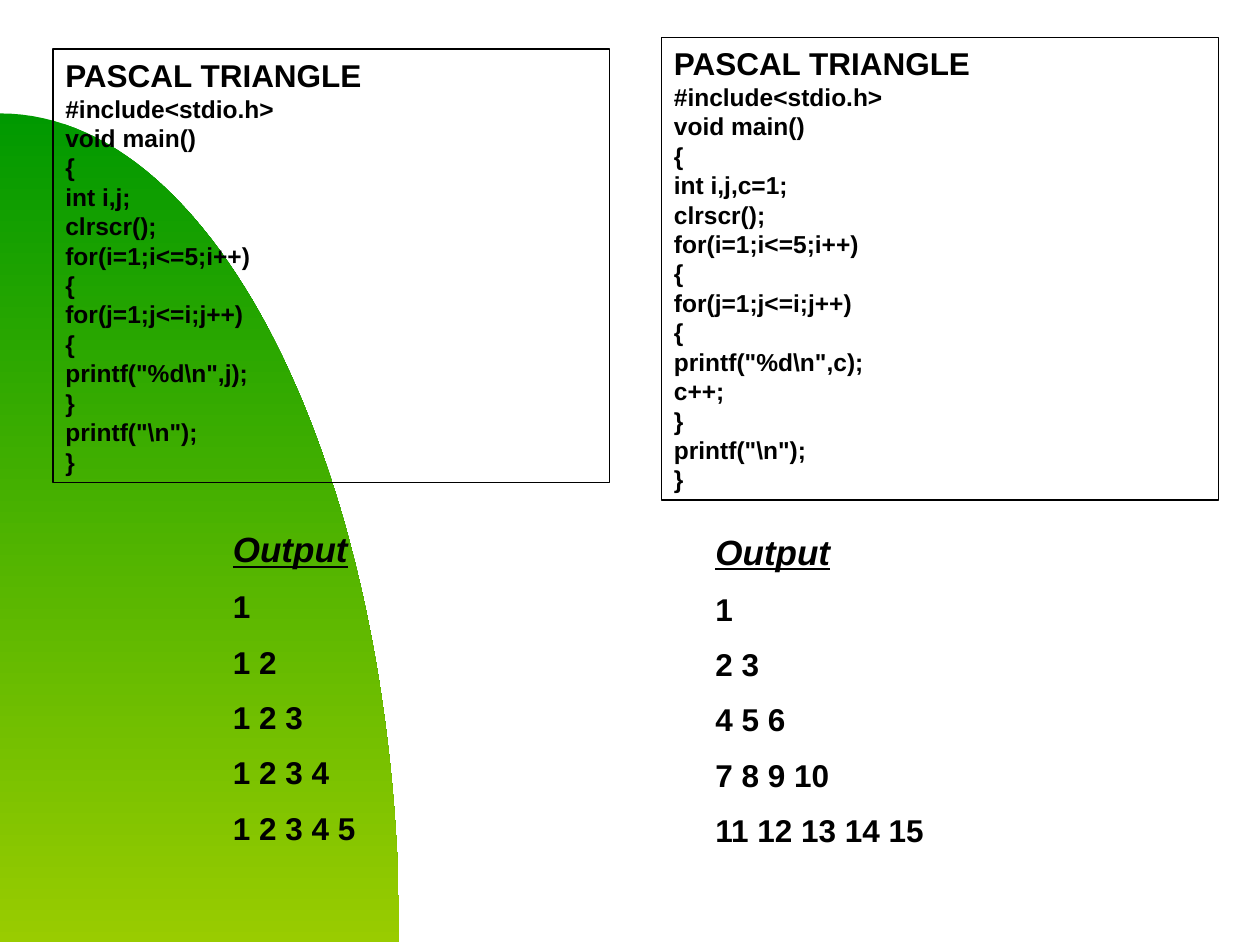
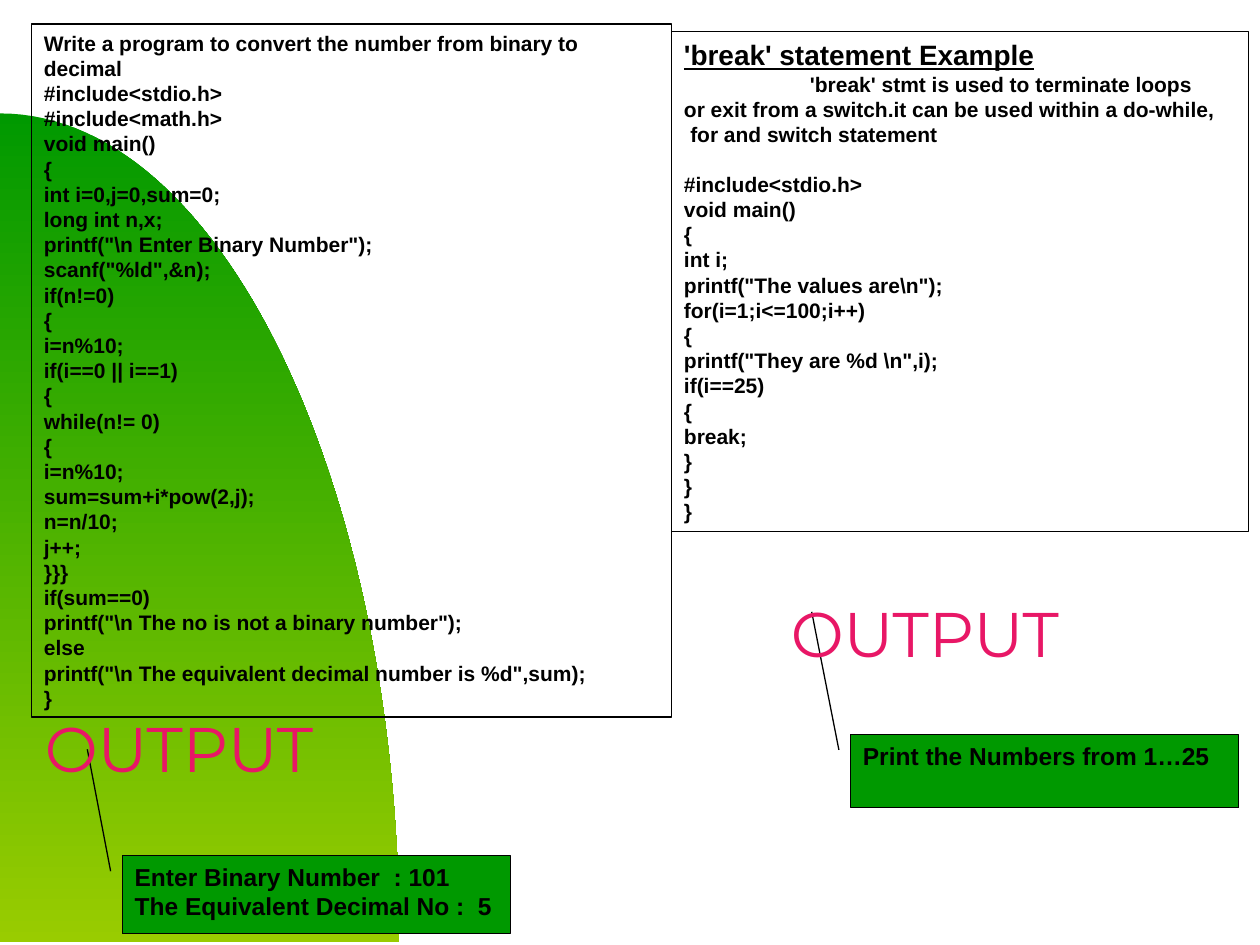
from pptx import Presentation
from pptx import util as u
from pptx.dml.color import RGBColor
from pptx.enum import shapes, text

BLACK = RGBColor(0x00, 0x00, 0x00)
GREEN = RGBColor(0x00, 0x99, 0x00)
LIME = RGBColor(0x99, 0xCC, 0x00)
PINK = RGBColor(0xE8, 0x17, 0x66)
BODY_FONT = "Arial"
DISPLAY_FONT = "Montserrat"

TRIANGLE_BY_ROW = r"""#include<stdio.h>
void main()
{
int i,j;
clrscr();
for(i=1;i<=5;i++)
{
for(j=1;j<=i;j++)
{
printf("%d\n",j);
}
printf("\n");
}"""

TRIANGLE_COUNTING = r"""#include<stdio.h>
void main()
{
int i,j,c=1;
clrscr();
for(i=1;i<=5;i++)
{
for(j=1;j<=i;j++)
{
printf("%d\n",c);
c++;
}
printf("\n");
}"""

BINARY_TO_DECIMAL = r"""#include<stdio.h>
#include<math.h>
void main()
{
int i=0,j=0,sum=0;
long int n,x;
printf("\n Enter Binary Number");
scanf("%ld",&n);
if(n!=0)
{
i=n%10;
if(i==0 || i==1)
{
while(n!= 0)
{
i=n%10;
sum=sum+i*pow(2,j);
n=n/10;
j++;
}}}
if(sum==0)
printf("\n The no is not a binary number");
else
printf("\n The equivalent decimal number is %d",sum);
}"""

BREAK_EXAMPLE = r"""#include<stdio.h>
void main()
{
int i;
printf("The values are\n");
for(i=1;i<=100;i++)
{
printf("They are %d \n",i);
if(i==25)
{
break;
}
}
}"""


def inches(*lengths):
    return [u.Inches(length) for length in lengths]


def add_backdrop(slide):
    """Draw the green quarter oval that rises from the lower left corner."""
    curve = [(0, 0.9), (1.75, 0.9), (3.17, 3.85), (3.17, 7.48)]
    steps = 60
    points = []
    for step in range(steps + 1):
        t = step / steps
        weights = ((1 - t) ** 3, 3 * t * (1 - t) ** 2, 3 * t ** 2 * (1 - t), t ** 3)
        points.append(inches(*(sum(w * point[axis] for w, point in zip(weights, curve))
                               for axis in (0, 1))))
    points.append(inches(0, 7.48))
    builder = slide.shapes.build_freeform(*points[0])
    builder.add_line_segments(points[1:], close=True)
    oval = builder.convert_to_shape()
    oval.shadow.inherit = False
    oval.line.fill.background()
    oval.fill.gradient()
    oval.fill.gradient_angle = 270
    for stop, colour in zip(oval.fill.gradient_stops, (GREEN, LIME)):
        stop.color.rgb = colour


def write(frame, lines, size, space_before=0):
    """Fill a frame with one left-aligned bold paragraph per line."""
    frame.word_wrap = True
    for number, line in enumerate(lines):
        para = frame.paragraphs[0] if number == 0 else frame.add_paragraph()
        para.text = line
        para.alignment = text.PP_ALIGN.LEFT
        if number and space_before:
            para.space_before = u.Pt(space_before)
        font = para.font
        font.name, font.size, font.bold = BODY_FONT, u.Pt(size), True
        font.color.rgb = BLACK
    return frame.paragraphs


def add_outlined(slide, kind, place, fill=None):
    box = slide.shapes.add_shape(kind, *inches(*place))
    box.shadow.inherit = False
    if fill is None:
        box.fill.background()
    else:
        box.fill.solid()
        box.fill.fore_color.rgb = fill
    box.line.color.rgb = BLACK
    box.line.width = u.Pt(0.75)
    box.text_frame.vertical_anchor = text.MSO_ANCHOR.TOP
    return box


def add_code_box(slide, place, lines, size, heading_size):
    box = add_outlined(slide, shapes.MSO_SHAPE.RECTANGLE, place)
    paras = write(box.text_frame, lines, size)
    paras[0].font.size = u.Pt(heading_size)
    return box, paras


def add_triangle(slide, place, code, output_place, rows):
    """Put a triangle program above the rows that it prints."""
    lines = ["PASCAL TRIANGLE", *code.splitlines()]
    box, _ = add_code_box(slide, place, lines, 14, 18)
    box.text_frame.vertical_anchor = text.MSO_ANCHOR.MIDDLE

    output = slide.shapes.add_textbox(*inches(*output_place))
    heading = write(output.text_frame, ["Output", *rows], 18, space_before=10)[0].font
    heading.size = u.Pt(20)
    heading.italic = heading.underline = True


def add_callout(slide, place, adjustments, lines):
    callout = add_outlined(slide, shapes.MSO_SHAPE.LINE_CALLOUT_1, place, GREEN)
    for index, value in enumerate(adjustments):
        callout.adjustments[index] = value
    write(callout.text_frame, lines, 14)


def add_output_banner(slide, left, top):
    banner = slide.shapes.add_textbox(*inches(left, top, 2.34, 0.42))
    banner.text_frame.word_wrap = False
    para = banner.text_frame.paragraphs[0]
    para.text = "OUTPUT"
    para.alignment = text.PP_ALIGN.CENTER
    para.font.name, para.font.size = DISPLAY_FONT, u.Pt(36)
    para.font.color.rgb = PINK


def indent_first_line(para, length):
    properties = para._p.get_or_add_pPr()
    properties.set("marL", "0")
    properties.set("indent", str(u.Inches(length)))


def add_triangle_slide(deck):
    slide = deck.slides.add_slide(deck.slide_layouts[6])
    add_backdrop(slide)
    add_triangle(slide, (0.42, 0.39, 4.42, 3.44), TRIANGLE_BY_ROW,
                 (1.75, 4.14, 2.33, 2.69),
                 ["1", "1 2", "1 2 3", "1 2 3 4", "1 2 3 4 5"])
    add_triangle(slide, (5.25, 0.3, 4.42, 3.67), TRIANGLE_COUNTING,
                 (5.58, 4.16, 3.67, 2.69),
                 ["1", "2 3", "4 5 6", "7 8 9 10", "11 12 13 14 15"])


def add_binary_and_break_slide(deck):
    slide = deck.slides.add_slide(deck.slide_layouts[6])
    add_backdrop(slide)

    task = "Write a program to convert the number from binary to decimal"
    add_code_box(slide, (0.25, 0.19, 5.08, 5.5),
                 [task, *BINARY_TO_DECIMAL.splitlines()], 12, 12)
    add_callout(slide, (0.97, 6.79, 3.08, 0.62), (0.2, -0.03, -1.36, -0.09),
                ["Enter Binary Number  : 101", "The Equivalent Decimal No :  5"])
    add_output_banner(slide, 0.25, 5.58)

    intro = ["'break' statement Example",
             "'break' stmt is used to terminate loops",
             "or exit from a switch.it can be used within a do-while,",
             "for and switch statement"]
    _, paras = add_code_box(slide, (5.33, 0.25, 4.58, 3.97),
                            [*intro, *BREAK_EXAMPLE.splitlines()], 12, 16)
    paras[0].font.underline = True
    indent_first_line(paras[1], 1)
    indent_first_line(paras[3], 0.05)
    paras[len(intro)].space_before = u.Pt(14)
    add_callout(slide, (6.75, 5.83, 3.08, 0.58), (0.21, -0.03, -1.68, -0.1),
                ["Print the Numbers from 1…25"])
    add_output_banner(slide, 6.17, 4.67)


def main():
    deck = Presentation()
    deck.slide_width, deck.slide_height = inches(10, 7.5)
    add_triangle_slide(deck)
    add_binary_and_break_slide(deck)
    deck.save("out.pptx")


if __name__ == "__main__":
    main()
